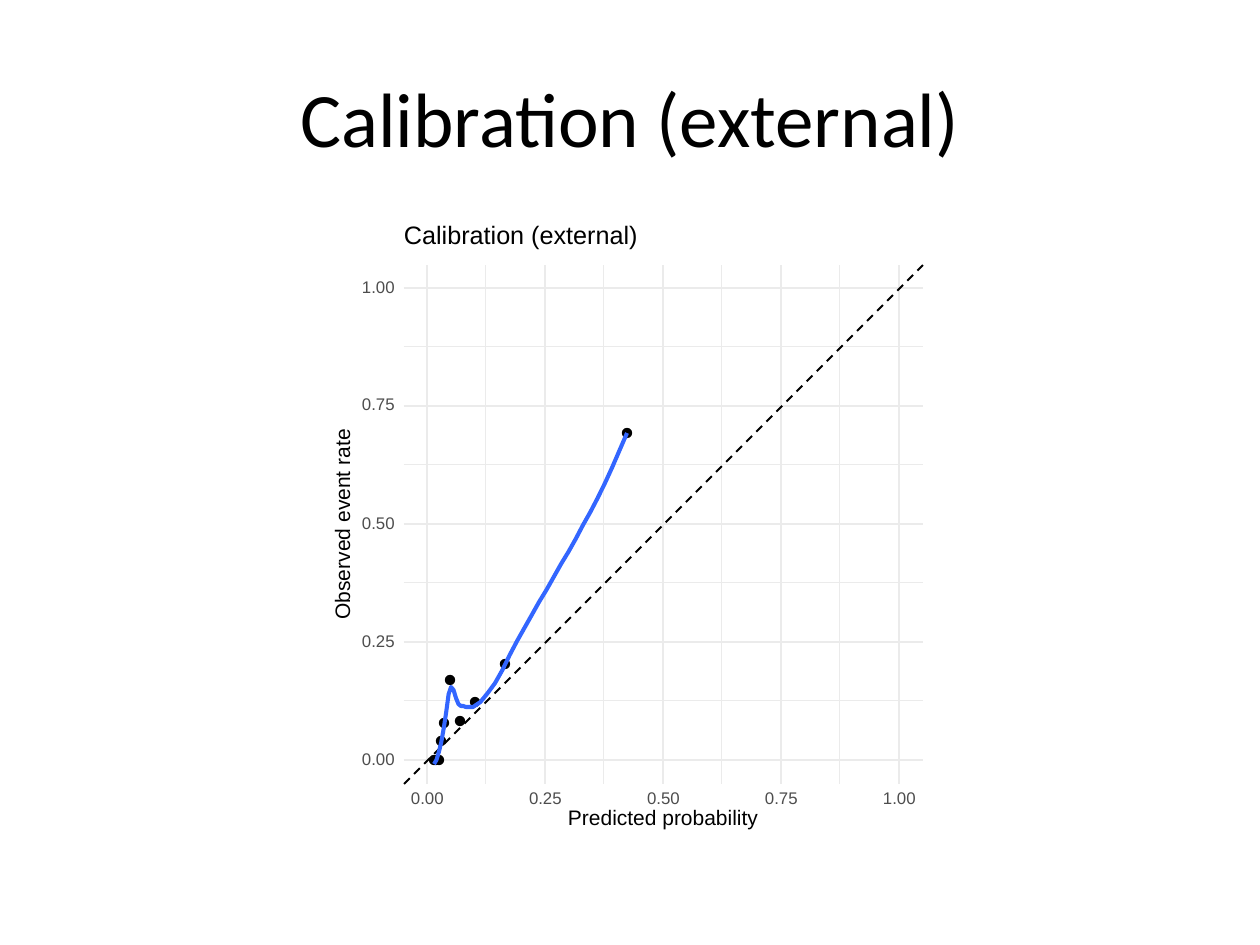
from lxml import etree
from pptx import Presentation
from pptx.dml.color import RGBColor
from pptx.enum.dml import MSO_LINE
from pptx.enum.shapes import MSO_CONNECTOR, MSO_SHAPE
from pptx.enum.text import MSO_ANCHOR, PP_ALIGN
from pptx.oxml.ns import qn
from pptx.util import Pt

RECT, OVAL = MSO_SHAPE.RECTANGLE, MSO_SHAPE.OVAL
LINE, DASH = MSO_CONNECTOR.STRAIGHT, MSO_LINE.DASH
MIDDLE, CENTER = MSO_ANCHOR.MIDDLE, PP_ALIGN.CENTER
SCALE = 914400 / 126
hue = RGBColor.from_string


def px(*sizes):
    return [round(size * SCALE) for size in sizes]


def label(text, spot, size, color, turn=0):
    box = plot.add_textbox(*px(*spot))
    box.rotation = turn
    frame = box.text_frame
    frame.word_wrap = False
    frame.vertical_anchor = MIDDLE
    frame.margin_left = frame.margin_right = 0
    frame.margin_top = frame.margin_bottom = 0
    para = frame.paragraphs[0]
    para.text = text
    para.line_spacing = Pt(size)
    para.font.size = Pt(size)
    para.font.name = "Arial"
    para.font.color.rgb = hue(color)


deck = Presentation()
deck.slide_width, deck.slide_height = px(1260, 945)
slide = deck.slides.add_slide(deck.slide_layouts[5])

title = slide.shapes.title
title.left, title.top, title.width, title.height = px(63, 38, 1134, 157)
title.text_frame.text = "Calibration (external)"
title.text_frame.vertical_anchor = MIDDLE
head = title.text_frame.paragraphs[0]
head.alignment = CENTER
head.font.size = Pt(44)
head.font.name = "Calibri"
head.font.color.rgb = hue("000000")

plot = slide.shapes.add_group_shape().shapes

for spot, edge in (((63, 221, 1134, 623), True), ((326, 221, 608, 623), False)):
    panel = plot.add_shape(RECT, *px(*spot))
    panel.shadow.inherit = False
    panel.fill.solid()
    panel.fill.fore_color.rgb = hue("FFFFFF")
    if edge:
        panel.line.color.rgb = hue("FFFFFF")
        panel.line.width = Pt(0.75)
    else:
        panel.line.fill.background()

LEFT, TOP, RIGHT, BASE = 404, 265, 923, 784
ZERO_X, ZERO_Y, STEP = 427, 760, 118

rules = []
for count, shift, weight in ((4, STEP // 2, 0.58), (5, 0, 1.16)):
    for i in range(count):
        y = ZERO_Y - shift - i * STEP
        rules.append((LEFT, y, RIGHT, y, "EBEBEB", weight))
    for i in range(count):
        x = ZERO_X + shift + i * STEP
        rules.append((x, BASE, x, TOP, "EBEBEB", weight))
rules.append((LEFT, BASE, RIGHT, TOP, "000000", 1.16))

for *ends, color, weight in rules:
    rule = plot.add_connector(LINE, *px(*ends))
    rule.line.color.rgb = hue(color)
    rule.line.width = Pt(weight)
    if color == "000000":
        rule.line.dash_style = DASH
    etree.SubElement(rule._element.spPr, qn("a:effectLst"))

DOT = 9
dots = [(434, 760), (436, 760), (439, 760), (441, 741), (444, 723),
        (450, 680), (460, 721), (475, 702), (505, 664), (627, 433)]
for x, y in dots:
    dot = plot.add_shape(OVAL, *px(x - DOT / 2, y - DOT / 2, DOT, DOT))
    dot.shadow.inherit = False
    dot.fill.solid()
    dot.fill.fore_color.rgb = hue("000000")
    dot.line.color.rgb = hue("000000")
    dot.line.width = Pt(0.77)

FIRST, LAST = 434, 627
bend = [764, 760, 752, 742, 728, 712, 694, 687,
        690, 698, 704, 706, 706, 707, 707, 707]
rise = [707, 702, 693, 683, 670, 655, 641, 628, 615, 602, 590,
        577, 564, 552, 539, 525, 512, 498, 483, 467, 450, 433]
steps = [*range(16), *range(16, 80, 3)]
gap = (LAST - FIRST) / steps[-1]
points = [px(FIRST + i * gap, y) for i, y in zip(steps, bend + rise)]
trace = plot.build_freeform(*points[0])
trace.add_line_segments(points[1:], close=False)
curve = trace.convert_to_shape()
curve.shadow.inherit = False
curve.fill.background()
curve.line.color.rgb = hue("3366FF")
curve.line.width = Pt(2.33)

for i in range(5):
    label(f"{i / 4:.2f}", (362, ZERO_Y - 6 - i * STEP, 33, 12), 9.6, "4D4D4D")
for i in range(5):
    label(f"{i / 4:.2f}", (ZERO_X - 16 + i * STEP, 793, 33, 12), 9.6, "4D4D4D")
label("Predicted probability", (568, 810, 210, 19), 12, "000000")
label("Observed event rate", (239, 507, 210, 15), 12, "000000", 270)
label("Calibration (external)", (404, 225, 250, 24), 14.4, "000000")

deck.save("out.pptx")
